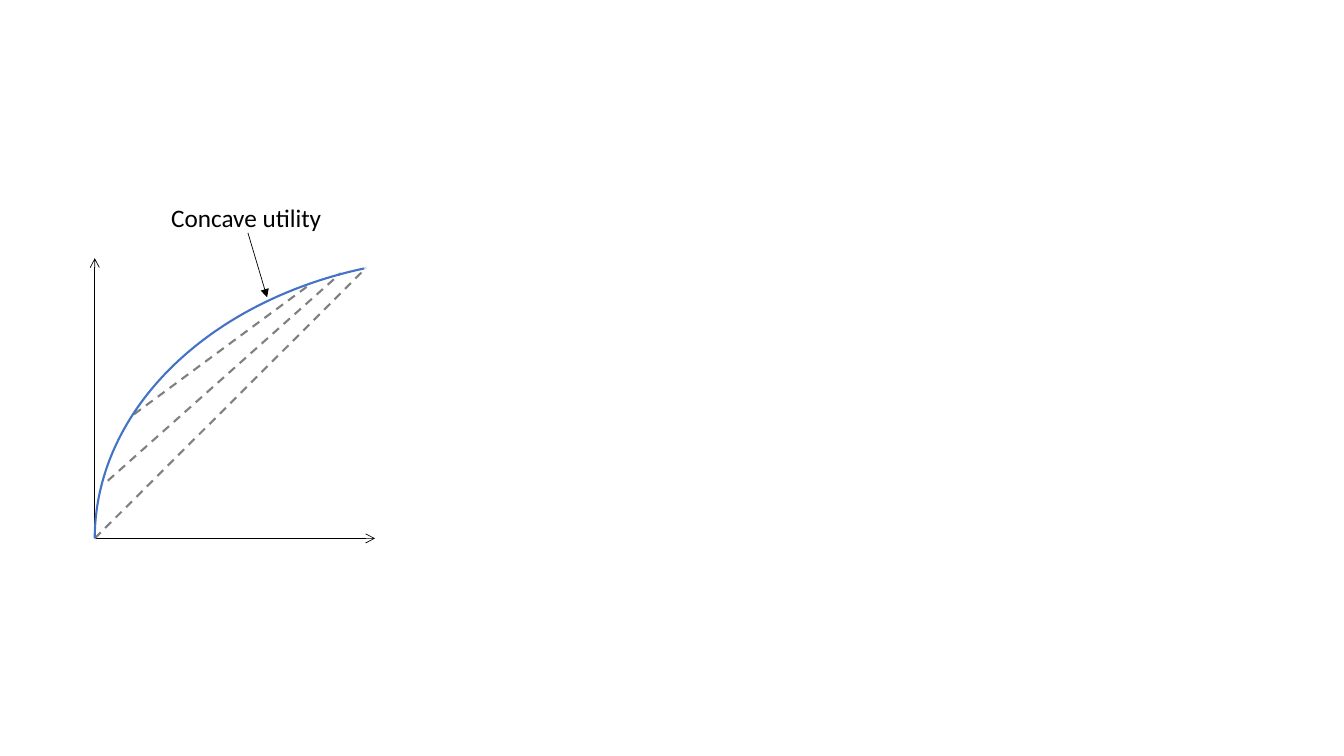
from lxml.etree import SubElement
from pptx import Presentation
from pptx.dml.color import RGBColor
from pptx.enum.dml import MSO_LINE_DASH_STYLE as Dash
from pptx.enum.shapes import MSO_CONNECTOR as Connector, MSO_SHAPE as Shape
from pptx.enum.text import MSO_AUTO_SIZE as AutoSize
from pptx.oxml.ns import qn
from pptx.util import Pt

BLACK = RGBColor(0x00, 0x00, 0x00)
GRAY = RGBColor(0x80, 0x80, 0x80)
BLUE = RGBColor(0x44, 0x72, 0xC4)

ORIGIN = (67.7, 384.6)
AXIS_LENGTH = 200.2
CHORDS = [
    ((95.8, 295.9), (219.6, 204.5)),
    ((77, 343.4), (243.4, 195.1)),
    (ORIGIN, (261.4, 191.5)),
]


def add_line(slide, start, end, color=BLACK, width=0.5, dash=None, arrow=None):
    """Draw a straight line, optionally dashed or with an arrowhead at its end."""
    connector = slide.shapes.add_connector(
        Connector.STRAIGHT, *(Pt(value) for value in (*start, *end)))
    connector.line.color.rgb = color
    connector.line.width = Pt(width)
    if dash:
        connector.line.dash_style = dash
    properties = connector._element.spPr
    if arrow:
        SubElement(properties.find(qn("a:ln")), qn("a:tailEnd"), type=arrow)
    SubElement(properties, qn("a:effectLst"))


def add_arc(slide, left, top, width, height, angles):
    """Draw an unfilled arc between two normalized angle adjustments."""
    arc = slide.shapes.add_shape(
        Shape.ARC, Pt(left), Pt(top), Pt(width), Pt(height))
    for index, angle in enumerate(angles):
        arc.adjustments[index] = angle
    arc.shadow.inherit = False
    arc.fill.background()
    arc.line.color.rgb = BLUE
    arc.line.width = Pt(1.5)


def add_text(slide, text, left, top, width, height,
             size=18, color=BLACK, font="Calibri"):
    """Place one unwrapped line of text."""
    box = slide.shapes.add_textbox(Pt(left), Pt(top), Pt(width), Pt(height))
    frame = box.text_frame
    frame.word_wrap = False
    frame.auto_size = AutoSize.SHAPE_TO_FIT_TEXT
    run = frame.paragraphs[0].add_run()
    run.text = text
    run.font.name = font
    run.font.size = Pt(size)
    run.font.color.rgb = color


def main():
    """Build the concave utility slide."""
    presentation = Presentation()
    presentation.slide_width = Pt(960)
    presentation.slide_height = Pt(540)
    slide = presentation.slides.add_slide(presentation.slide_layouts[6])

    x, y = ORIGIN
    for axis_tip in ((x, y - AXIS_LENGTH), (x + AXIS_LENGTH, y)):
        add_line(slide, ORIGIN, axis_tip, arrow="arrow")
    for start, end in CHORDS:
        add_line(slide, start, end, color=GRAY, width=1.5, dash=Dash.DASH)
    add_arc(slide, x, 184.3, 527.8, 401, angles=(108.03, 149.84))
    add_line(slide, (177.1, 166.3), (190.8, 212.4), arrow="triangle")
    add_text(slide, "Concave utility", 115.2, 141.1, 123.1, 28.8)

    presentation.save("out.pptx")


main()
